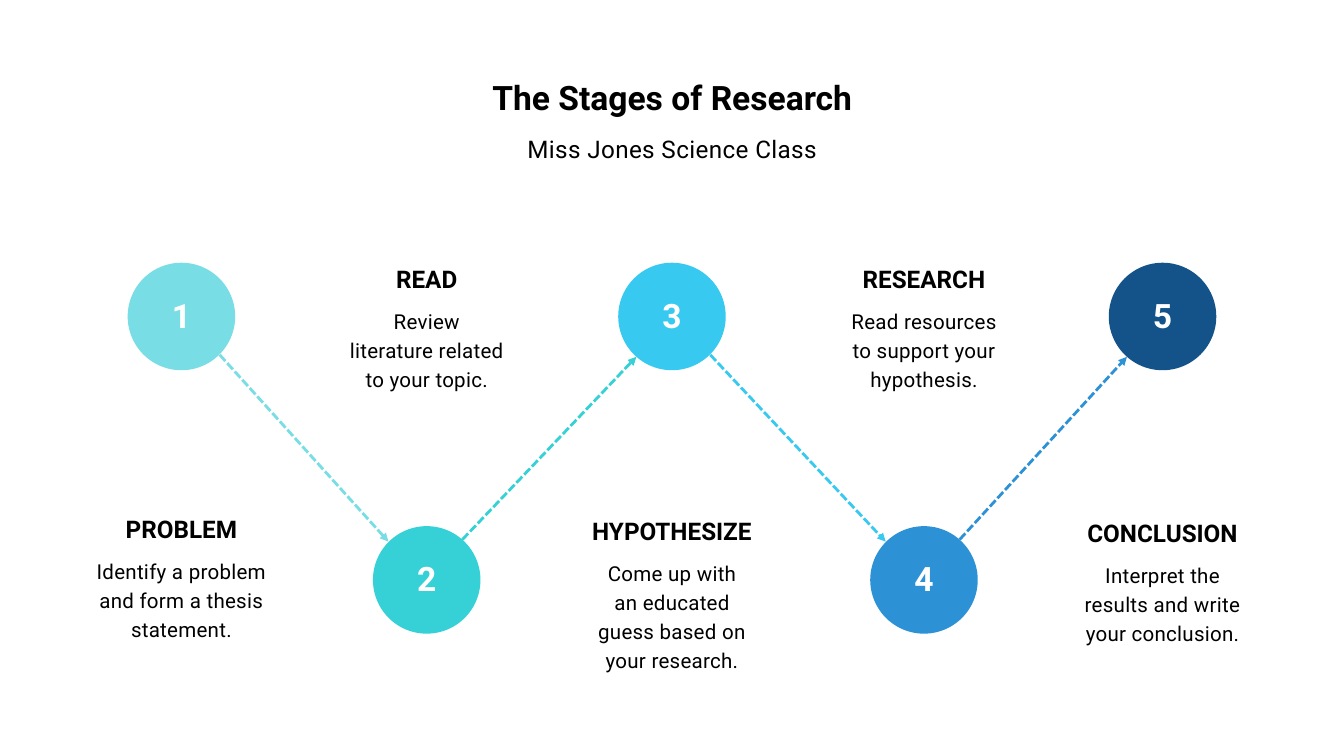
"""Build a zigzag slide of the five stages of research."""
from lxml.etree import SubElement
from pptx import Presentation
from pptx.dml.color import RGBColor
from pptx.enum.dml import MSO_LINE
from pptx.enum.shapes import MSO_CONNECTOR, MSO_SHAPE
from pptx.enum.text import MSO_ANCHOR, MSO_AUTO_SIZE, PP_ALIGN
from pptx.oxml.ns import qn
from pptx.util import Inches, Pt

COLORS = {"text": "000000", "number": "FFFFFF", "1": "78DDE4", "2": "36D1D6",
          "3": "37C9EF", "4": "2C92D5", "5": "13538A"}
STAGES = [
    (2.7, 7.61, "PROBLEM", ["Identify a problem and form a thesis statement."]),
    (6.35, 3.89, "READ", ["Review", "literature related", "to your topic."]),
    (10, 7.64, "HYPOTHESIZE", ["Come up with", "an educated", "guess based on your research."]),
    (13.75, 3.89, "RESEARCH", ["Read resources", "to support your hypothesis."]),
    (17.3, 7.67, "CONCLUSION", ["Interpret the", "results and write your conclusion."]),
]
ROWS = [4.71, 8.63]
DIAMETER = 1.6
CAPTION_W = 2.79

prs = Presentation()
prs.slide_width, prs.slide_height = Inches(20), Inches(11.25)
COL = prs.slide_width // 20
s = prs.slides.add_slide(prs.slide_layouts[5])


def grid(*cells):
    return [round(c * COL) for c in cells]


def write(sp, lines, size, leading, bold=False, spacing=0, color="text", anchor=MSO_ANCHOR.TOP):
    tf = sp.text_frame
    tf.word_wrap = True
    tf.auto_size = MSO_AUTO_SIZE.NONE
    tf.vertical_anchor = anchor
    tf.margin_left = tf.margin_top = tf.margin_right = tf.margin_bottom = 0
    for i, line in enumerate(lines):
        p = tf.add_paragraph() if i else tf.paragraphs[0]
        p.alignment = PP_ALIGN.CENTER
        p.line_spacing = Pt(leading)
        r = p.add_run()
        r.text = line
        r.font.name, r.font.size, r.font.bold = "Roboto", Pt(size), bold
        r.font.color.rgb = RGBColor.from_string(COLORS[color])
        if spacing:
            r.font._element.set("spc", str(spacing))


title = s.shapes.title
title.left, title.top, title.width, title.height = grid(3.87, 1.09, 12.27, 0.63)
write(title, ["The Stages of Research"], 36, 46.8, bold=True)
subtitle = s.shapes.add_textbox(*grid(3.87, 1.92, 12.27, 0.47))
write(subtitle, ["Miss Jones Science Class"], 26, 36.4, spacing=40)

for i, (x, top, heading, lines) in enumerate(STAGES):
    y = ROWS[i % 2]
    number = str(i + 1)
    color = RGBColor.from_string(COLORS[number])

    sp = s.shapes.add_shape(MSO_SHAPE.OVAL, *grid(x - DIAMETER / 2, y - DIAMETER / 2, DIAMETER, DIAMETER))
    sp.shadow.inherit = False
    sp.fill.solid()
    sp.fill.fore_color.rgb = color
    sp.line.fill.background()
    write(sp, [number], 36, 50.4, bold=True, color="number", anchor=MSO_ANCHOR.MIDDLE)
    sp.text_frame.margin_bottom = Inches(0.15)

    left = x - CAPTION_W / 2
    tb = s.shapes.add_textbox(*grid(left, top, CAPTION_W, 0.46))
    write(tb, [heading], 26, 33.8, bold=True)
    body = s.shapes.add_textbox(*grid(left, top + 0.65, CAPTION_W, 1.68 if i == 2 else 1.25))
    write(body, lines, 22, 30.8, spacing=30)

    if i + 1 < len(STAGES):
        dx, dy = (0.53, -0.6) if i % 2 else (0.57, 0.57)
        next_x, next_y = STAGES[i + 1][0], ROWS[(i + 1) % 2]
        arrow = s.shapes.add_connector(MSO_CONNECTOR.STRAIGHT, *grid(x + dx, y + dy, next_x - dx, next_y - dy))
        arrow.line.color.rgb = color
        arrow.line.width = Pt(3)
        arrow.line.dash_style = MSO_LINE.SQUARE_DOT
        SubElement(arrow.line._get_or_add_ln(), qn("a:tailEnd"), type="triangle")
        SubElement(arrow._element.spPr, qn("a:effectLst"))

prs.save("out.pptx")
